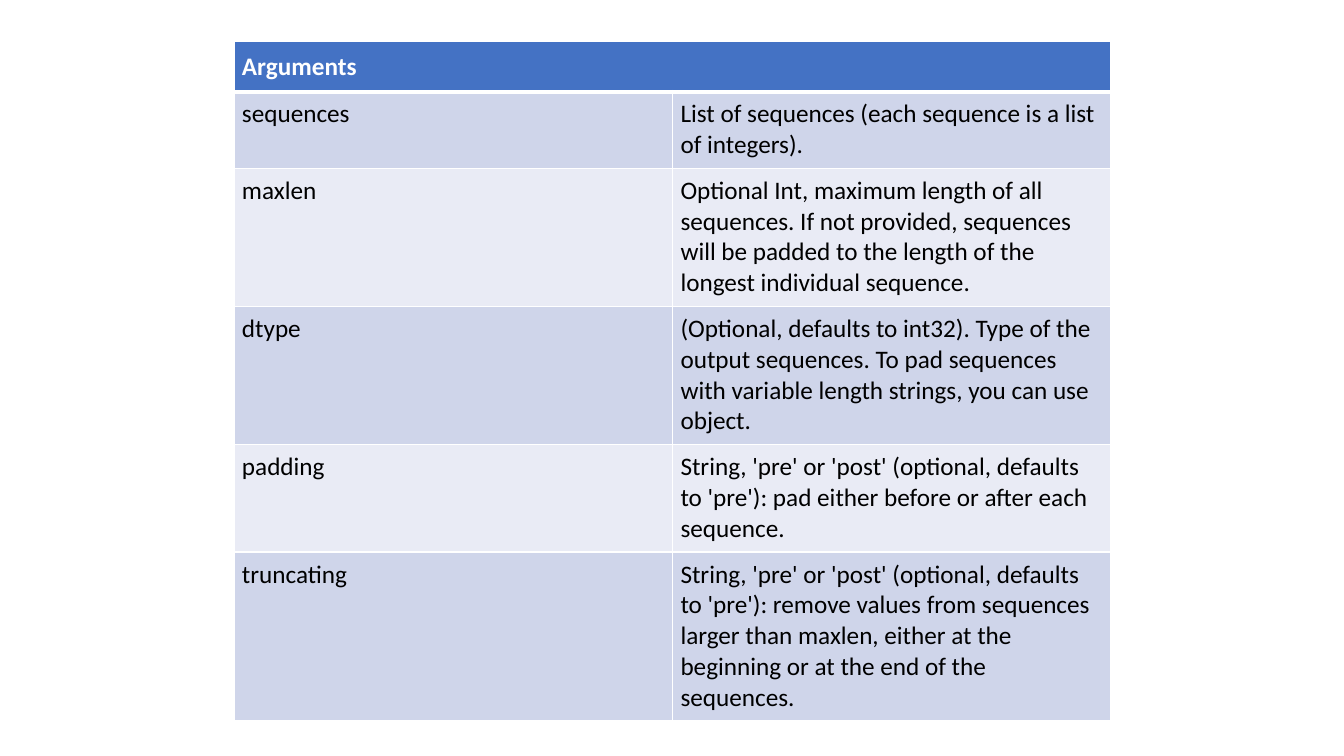
from lxml import etree
from pptx import Presentation
from pptx.dml.color import RGBColor
from pptx.enum import text
from pptx.oxml import ns
from pptx.util import Inches, Pt

ARGUMENTS = [
    ("sequences", "List of sequences (each sequence is a list of integers).", 2),
    ("maxlen", "Optional Int, maximum length of all sequences. If not provided, sequences "
               "will be padded to the length of the longest individual sequence.", 4),
    ("dtype", "(Optional, defaults to int32). Type of the output sequences. To pad sequences "
              "with variable length strings, you can use object.", 4),
    ("padding", "String, 'pre' or 'post' (optional, defaults to 'pre'): pad either before "
                "or after each sequence.", 3),
    ("truncating", "String, 'pre' or 'post' (optional, defaults to 'pre'): remove values "
                   "from sequences larger than maxlen, either at the beginning or at the "
                   "end of the sequences.", 5),
]
HEADER_HEIGHT = 0.5
LINE_HEIGHT = 0.3
ROW_PADDING = 0.15


def color(value):
    return RGBColor.from_string(value)


class Painter:
    font = "Calibri"
    size = 18
    white, black, header = "FFFFFF", "000000", "4472C4"
    bands = ("CFD5EA", "E9EBF5")

    def __init__(self, page):
        self.page = page

    def border(self, cell, side, width):
        properties = cell._tc.get_or_add_tcPr()
        line = etree.SubElement(properties, ns.qn(f"a:ln{side}"), w=str(Pt(width)))
        fill = etree.SubElement(line, ns.qn("a:solidFill"))
        etree.SubElement(fill, ns.qn("a:srgbClr"), val=self.white)

    def cell(self, cell, words, fill, is_header=False):
        for side in "LRTB":
            self.border(cell, side, 3 if is_header and side == "B" else 1)
        cell.fill.solid()
        cell.fill.fore_color.rgb = color(fill)
        cell.margin_left = cell.margin_right = cell.margin_bottom = Inches(0.08)
        cell.margin_top = Inches(0.08 if is_header else 0.07)
        anchor = text.MSO_ANCHOR
        cell.vertical_anchor = anchor.MIDDLE if is_header else anchor.TOP
        para = cell.text_frame.paragraphs[0]
        para.font.size = Pt(self.size)
        if words:
            span = para.add_run()
            span.text = words
            span.font.name = self.font
            span.font.size = Pt(self.size)
            span.font.bold = is_header
            span.font.color.rgb = color(self.white if is_header else self.black)

    def argument_table(self, title, arguments, left, top, column_width):
        heights = [HEADER_HEIGHT]
        heights += [lines * LINE_HEIGHT + ROW_PADDING for _, _, lines in arguments]
        table = self.page.shapes.add_table(
            len(heights), 2, Inches(left), Inches(top),
            Inches(2 * column_width), Inches(sum(heights))).table
        for column in table.columns:
            column.width = Inches(column_width)
        for row, height in zip(table.rows, heights):
            row.height = Inches(height)
        table.cell(0, 0).merge(table.cell(0, 1))
        for column, words in enumerate((title, "")):
            self.cell(table.cell(0, column), words, self.header, is_header=True)
        for row, (name, meaning, _) in enumerate(arguments, start=1):
            for column, words in enumerate((name, meaning)):
                self.cell(table.cell(row, column), words, self.bands[(row - 1) % 2])


def main():
    deck = Presentation()
    deck.slide_width, deck.slide_height = Inches(13.33), Inches(7.5)
    page = deck.slides.add_slide(deck.slide_layouts[6])
    Painter(page).argument_table("Arguments", ARGUMENTS, 2.32, 0.41, 4.35)
    deck.save("out.pptx")


if __name__ == "__main__":
    main()
